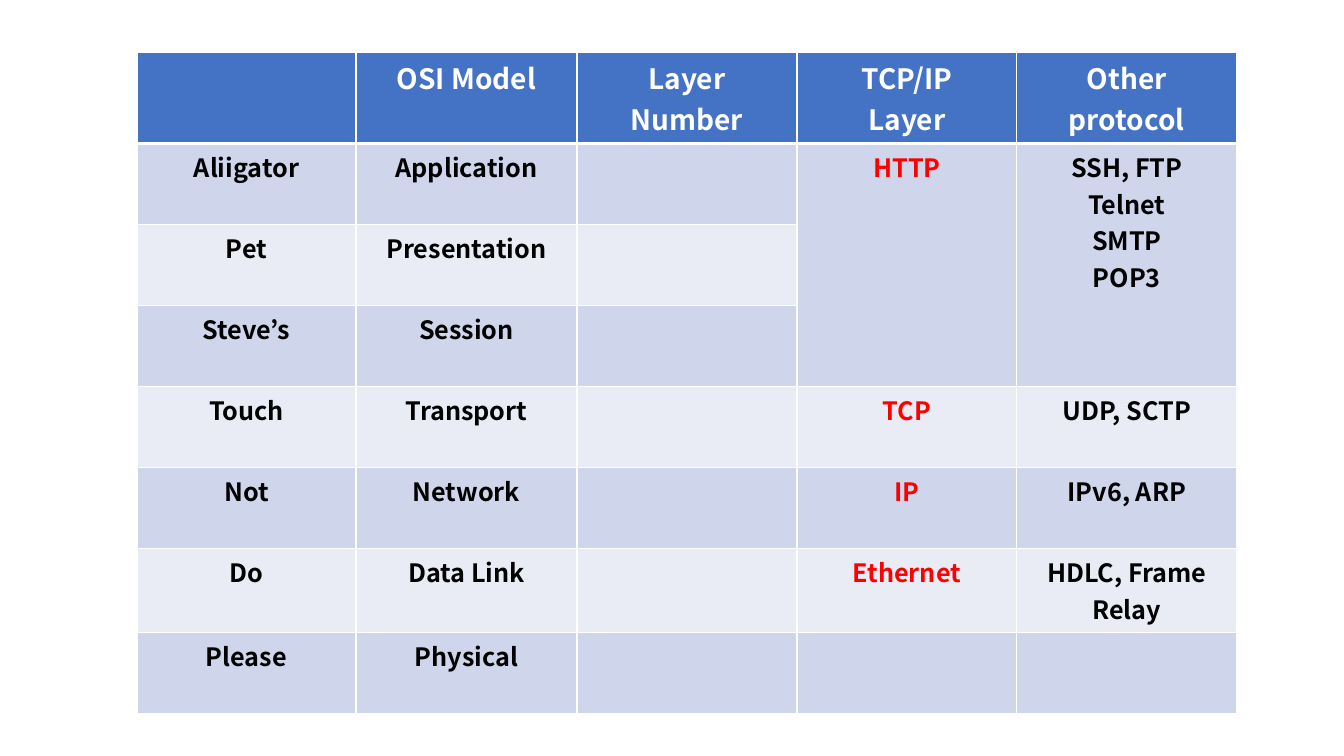
import dataclasses

import pptx
import pptx.dml.color
import pptx.enum.text
import pptx.oxml
import pptx.oxml.ns
import pptx.presentation
import pptx.slide
import pptx.table
import pptx.util

RGBColor = pptx.dml.color.RGBColor
EMU_PER_PX = 914400 / 100.8
SLIDE_WIDTH, SLIDE_HEIGHT = 1344, 756
TABLE_LEFT, TABLE_TOP = 137, 52
COLUMN_WIDTHS = (219, 221, 220, 220, 220)
HEADER_HEIGHT, ROW_HEIGHT, TALL_ROW_HEIGHT = 82, 81, 84

FONT = "Noto Sans CJK KR"
HEADER_BLUE = RGBColor(0x44, 0x72, 0xC4)
BAND_DARK = RGBColor(0xCF, 0xD5, 0xEA)
BAND_LIGHT = RGBColor(0xE9, 0xEB, 0xF5)
WHITE = RGBColor(0xFF, 0xFF, 0xFF)
BLACK = RGBColor(0x00, 0x00, 0x00)
RED = RGBColor(0xFF, 0x00, 0x00)

HEADINGS = ("", "OSI Model", "Layer\nNumber", "TCP/IP\nLayer", "Other protocol")
TCP_IP_COLUMN, OTHER_COLUMN = 3, 4


@dataclasses.dataclass(frozen=True)
class Layer:
    mnemonic: str
    name: str
    tcp_ip: str = ""
    other: str = ""
    height: int = ROW_HEIGHT
    span: int = 1

    def texts(self) -> tuple[str, ...]:
        return (self.mnemonic, self.name, "", self.tcp_ip, self.other)


LAYERS = (
    Layer("Aliigator", "Application", "HTTP", "SSH, FTP\nTelnet\nSMTP\nPOP3", span=3),
    Layer("Pet", "Presentation"),
    Layer("Steve’s", "Session"),
    Layer("Touch", "Transport", "TCP", "UDP, SCTP"),
    Layer("Not", "Network", "IP", "IPv6, ARP"),
    Layer("Do", "Data Link", "Ethernet", "HDLC, Frame Relay", height=TALL_ROW_HEIGHT),
    Layer("Please", "Physical"),
)


def px(length: int) -> pptx.util.Emu:
    return pptx.util.Emu(round(length * EMU_PER_PX))


def write_text(cell: pptx.table._Cell, text: str, *, size: int, color: RGBColor) -> None:
    """Write one centred bold paragraph for each line of text."""
    cell.text_frame.text = text
    for paragraph in cell.text_frame.paragraphs:
        paragraph.alignment = pptx.enum.text.PP_ALIGN.CENTER
        paragraph.font.size = pptx.util.Pt(size)
        for run in paragraph.runs:
            run.font.name = FONT
            run.font.size = pptx.util.Pt(size)
            run.font.bold = True
            run.font.color.rgb = color


def set_borders(cell: pptx.table._Cell, *, top: int = 1, bottom: int = 1) -> None:
    """Draw white cell borders, with widths in points."""
    properties = cell._tc.get_or_add_tcPr()
    widths = {"lnL": 1, "lnR": 1, "lnT": top, "lnB": bottom}
    for position, (side, width) in enumerate(widths.items()):
        border = pptx.oxml.parse_xml(
            f'<a:{side} {pptx.oxml.ns.nsdecls("a")} w="{pptx.util.Pt(width)}">'
            f'<a:solidFill><a:srgbClr val="{WHITE}"/></a:solidFill></a:{side}>'
        )
        properties.insert(position, border)


def fill_cell(cell: pptx.table._Cell, color: RGBColor) -> None:
    cell.fill.solid()
    cell.fill.fore_color.rgb = color


def add_layer_table(slide: pptx.slide.Slide) -> None:
    heights = (HEADER_HEIGHT, *(layer.height for layer in LAYERS))
    table = slide.shapes.add_table(
        len(heights), len(COLUMN_WIDTHS), px(TABLE_LEFT), px(TABLE_TOP),
        px(sum(COLUMN_WIDTHS)), px(sum(heights)),
    ).table
    for column, width in zip(table.columns, COLUMN_WIDTHS):
        column.width = px(width)
    for row, height in zip(table.rows, heights):
        row.height = px(height)

    for column_index, heading in enumerate(HEADINGS):
        cell = table.cell(0, column_index)
        write_text(cell, heading, size=20, color=WHITE)
        fill_cell(cell, HEADER_BLUE)
        set_borders(cell, bottom=3)

    for row_index, layer in enumerate(LAYERS, start=1):
        for column_index, text in enumerate(layer.texts()):
            cell = table.cell(row_index, column_index)
            color = RED if column_index == TCP_IP_COLUMN else BLACK
            write_text(cell, text, size=18, color=color)
            fill_cell(cell, BAND_DARK if row_index % 2 else BAND_LIGHT)
            set_borders(cell, top=3 if row_index == 1 else 1)

    for row_index, layer in enumerate(LAYERS, start=1):
        if layer.span > 1:
            for column_index in (TCP_IP_COLUMN, OTHER_COLUMN):
                last_cell = table.cell(row_index + layer.span - 1, column_index)
                table.cell(row_index, column_index).merge(last_cell)


def main() -> None:
    presentation = pptx.Presentation()
    presentation.slide_width = px(SLIDE_WIDTH)
    presentation.slide_height = px(SLIDE_HEIGHT)
    blank_layout = presentation.slide_layouts.get_by_name("Blank")
    add_layer_table(presentation.slides.add_slide(blank_layout))
    presentation.save("out.pptx")


if __name__ == "__main__":
    main()
